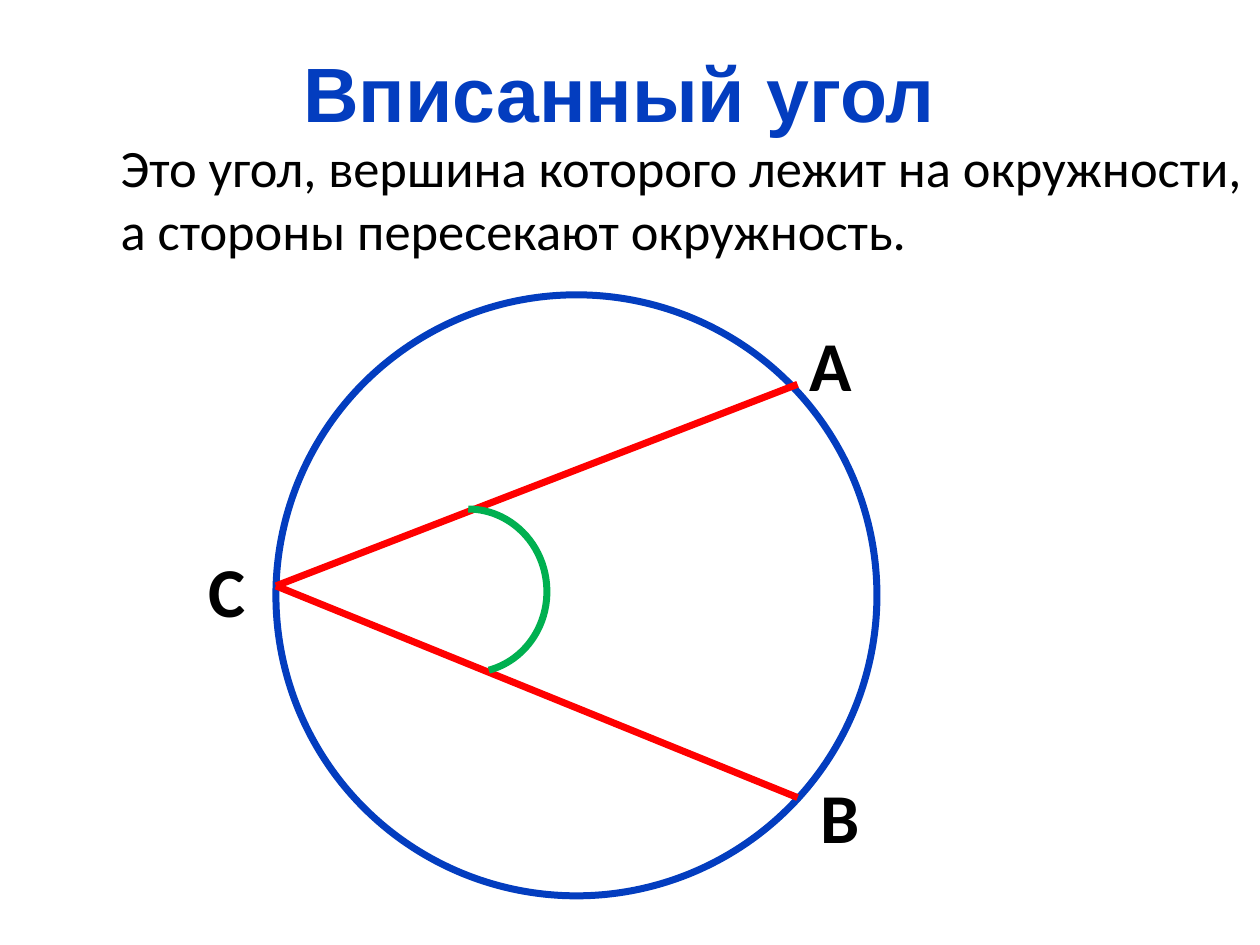
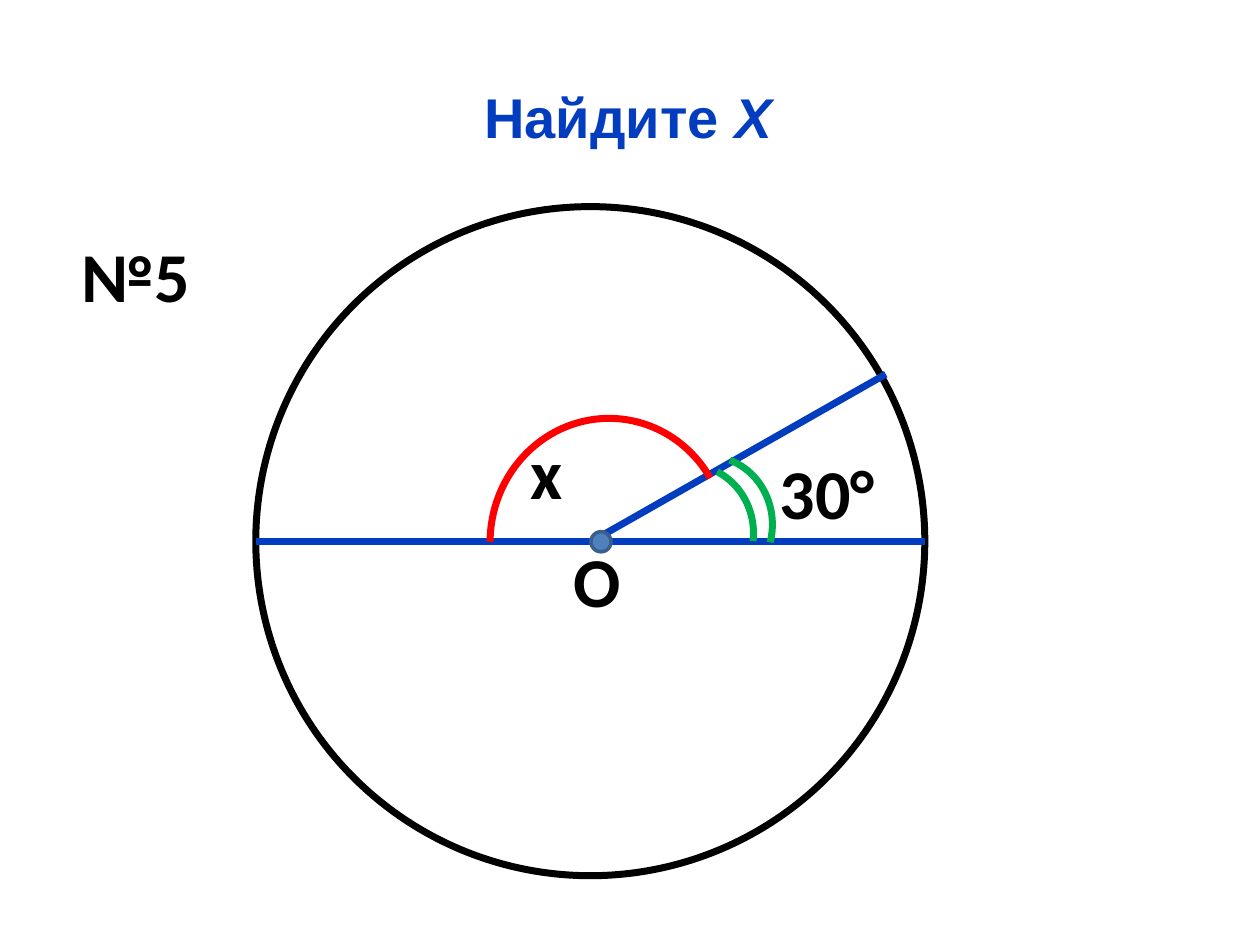
from lxml.etree import SubElement
from pptx import Presentation
from pptx.dml.color import RGBColor
from pptx.enum.shapes import MSO_CONNECTOR, MSO_SHAPE
from pptx.enum.text import MSO_ANCHOR, MSO_AUTO_SIZE, PP_ALIGN
from pptx.oxml.ns import qn
from pptx.util import Inches, Pt

BLUE = RGBColor(0x03, 0x3D, 0xBF)
RED = RGBColor(0xFF, 0x00, 0x00)
GREEN = RGBColor(0x00, 0xB0, 0x50)
BLACK = RGBColor(0x00, 0x00, 0x00)
WHITE = RGBColor(0xFF, 0xFF, 0xFF)
STEEL = RGBColor(0x4F, 0x81, 0xBD)
NAVY = RGBColor(0x3A, 0x5F, 0x8C)


class Deck:
    """Draws geometry slides in one shared style."""

    head_font = "Arial"
    body_font = "Calibri"
    stroke = 4

    def __init__(self):
        self.show = Presentation()
        self.show.slide_width = Inches(10)
        self.show.slide_height = Inches(7.5)
        self.slide = None

    def start(self, parts, left, top, height, size):
        self.slide = self.show.slides.add_slide(self.show.slide_layouts[5])
        title = self.slide.shapes.title
        title.left, title.top = Inches(left), Inches(top)
        title.width, title.height = Inches(8.17), Inches(height)
        frame = title.text_frame
        frame.auto_size = MSO_AUTO_SIZE.NONE
        frame.vertical_anchor = MSO_ANCHOR.MIDDLE
        line = frame.paragraphs[0]
        line.alignment = PP_ALIGN.CENTER
        for text, slant in parts:
            run = line.add_run()
            run.text = text
            self.style(run, self.head_font, size, BLUE, True)
            run.font.italic = slant

    def style(self, run, name, size, color, bold):
        run.font.name = name
        run.font.size = Pt(size)
        run.font.bold = bold
        run.font.color.rgb = color

    def text(self, text, left, top, width, height=0.77, size=40, bold=True, wrap=True):
        box = self.slide.shapes.add_textbox(
            Inches(left), Inches(top), Inches(width), Inches(height))
        frame = box.text_frame
        frame.word_wrap = wrap
        frame.text = text
        self.style(frame.paragraphs[0].runs[0], self.body_font, size, BLACK, bold)

    def shape(self, kind, left, top, width, height, color, fill=None, stroke=stroke):
        item = self.slide.shapes.add_shape(
            kind, Inches(left), Inches(top), Inches(width), Inches(height))
        item.shadow.inherit = False
        if fill is None:
            item.fill.background()
        else:
            item.fill.solid()
            item.fill.fore_color.rgb = fill
        item.line.color.rgb = color
        item.line.width = Pt(stroke)
        return item

    def circle(self, left, top, size, color, fill=None, stroke=stroke):
        self.shape(MSO_SHAPE.OVAL, left, top, size, size, color, fill, stroke)

    def arc(self, left, top, width, height, turn, first, last, color):
        item = self.shape(MSO_SHAPE.ARC, left, top, width, height, color)
        item.rotation = turn
        for index, angle in enumerate((first, last)):
            item.adjustments[index] = angle * 0.6

    def line(self, start, end, color):
        item = self.slide.shapes.add_connector(
            MSO_CONNECTOR.STRAIGHT, *map(Inches, start + end))
        item.line.color.rgb = color
        item.line.width = Pt(self.stroke)
        SubElement(item._element.spPr, qn("a:effectLst"))


def define(deck):
    deck.start([("Вписанный угол", False)], 0.83, 0.28, 0.89, 44)
    deck.text("Это угол, вершина которого лежит на окружности, "
              "а стороны пересекают окружность.",
              0.86, 1.02, 9.14, 1.62, size=30, bold=False)
    deck.circle(2.19, 2.34, 4.77, BLUE)
    apex = (2.19, 4.65)
    for end in ((6.33, 3.05), (6.33, 6.33)):
        deck.line(apex, end, RED)
    deck.arc(3.07, 4.07, 1.3, 1.24, 84.9, 184.75, 350.88, GREEN)
    deck.text("С", 1.56, 4.3, 0.62)
    deck.text("А", 6.33, 2.5, 0.62)
    deck.text("В", 6.41, 6.09, 1.02)


def solve(deck):
    deck.start([("Найдите ", False), ("Х", True)], 0.9, 0.6, 0.65, 32)
    deck.circle(2.03, 1.64, 5.31, BLACK, WHITE)
    deck.line((7.34, 4.3), (2.03, 4.3), BLUE)
    deck.line((7.03, 2.97), (4.69, 4.3), BLUE)
    deck.arc(3.85, 3.36, 1.96, 1.88, 273.1, 266.93, 54.73, RED)
    deck.arc(5.07, 3.65, 1.09, 1.03, 92.5, 196.52, 283.15, GREEN)
    deck.arc(4.92, 3.72, 1.09, 1.03, 92.5, 202.3, 274.07, GREEN)
    deck.text("О", 4.45, 4.22, 0.55)
    deck.text("x", 4.11, 3.36, 0.57)
    deck.text("30°", 6.09, 3.52, 1.05, wrap=False)
    deck.text("№5", 0.55, 1.8, 1.33)
    deck.circle(4.69, 4.22, 0.16, NAVY, STEEL, 2)


def main():
    deck = Deck()
    define(deck)
    solve(deck)
    deck.show.save("out.pptx")


if __name__ == "__main__":
    main()
